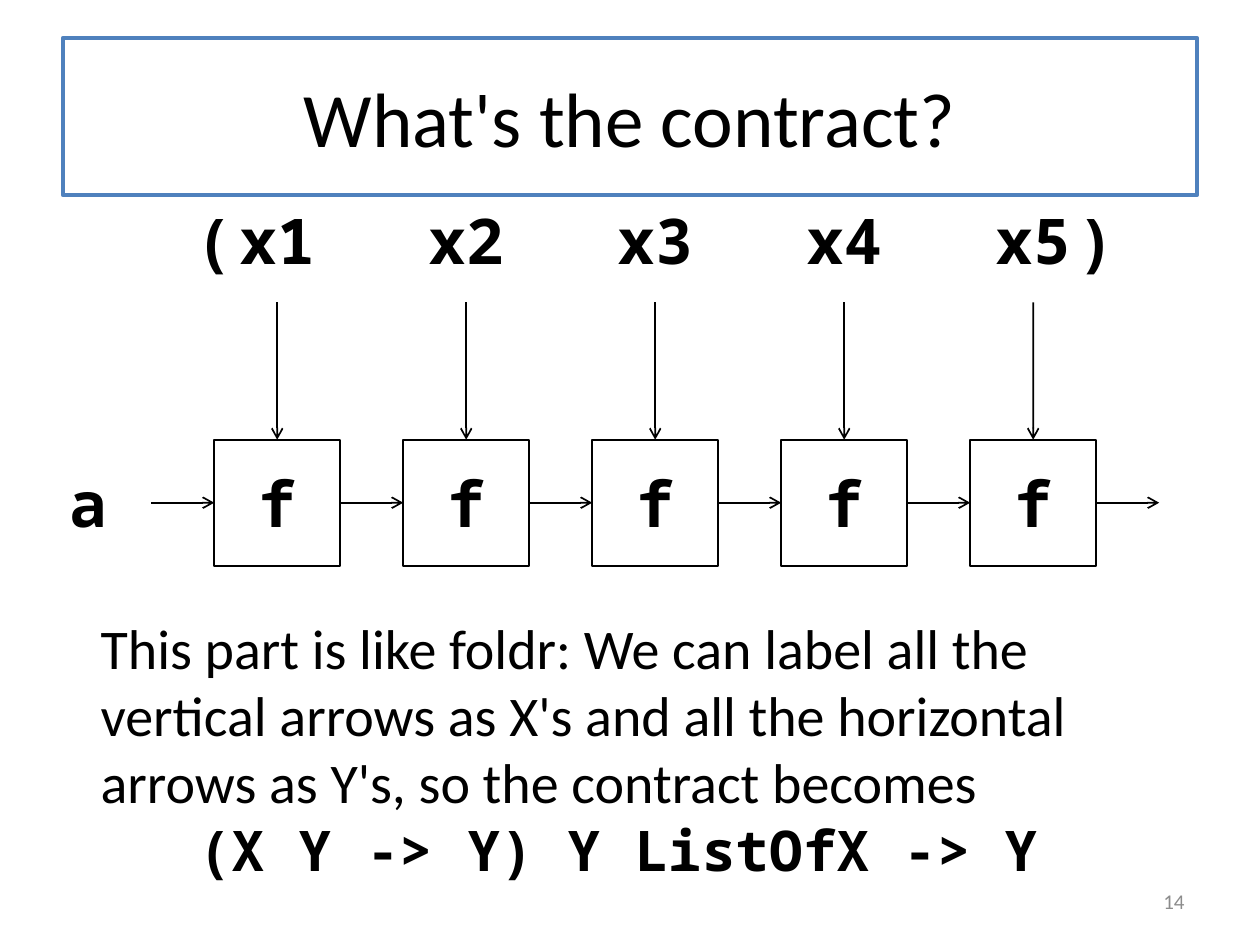
import lxml.etree
import pptx
import pptx.dml.color
import pptx.enum.shapes
import pptx.enum.text
import pptx.oxml.ns
import pptx.util

Inches = pptx.util.Inches
RGB = pptx.dml.color.RGBColor
ALIGN = pptx.enum.text.PP_ALIGN
ANCHOR = pptx.enum.text.MSO_ANCHOR
KIND = pptx.enum.shapes.MSO_SHAPE
LINE = pptx.enum.shapes.MSO_CONNECTOR.STRAIGHT

BLACK = RGB(0x00, 0x00, 0x00)
WHITE = RGB(0xFF, 0xFF, 0xFF)
BLUE = RGB(0x4F, 0x81, 0xBD)
GRAY = RGB(0x8C, 0x8C, 0x8C)

HEAD = {"name": "Calibri", "size": pptx.util.Pt(44)}
BODY = {"name": "Calibri", "size": pptx.util.Pt(32)}
CODE = {"name": "Noto Sans Mono", "size": pptx.util.Pt(36), "bold": True}
RULE = {**CODE, "size": pptx.util.Pt(32)}
FOOT = {"name": "Calibri", "size": pptx.util.Pt(12)}


def write(para, text, form, align=ALIGN.CENTER, color=BLACK):
    para.alignment = align
    run = para.add_run()
    run.text = text
    for key, value in form.items():
        setattr(run.font, key, value)
    run.font.color.rgb = color


def add_text(slide, box, text, form, align=ALIGN.CENTER, color=BLACK,
             anchor=ANCHOR.MIDDLE):
    shape = slide.shapes.add_textbox(*map(Inches, box))
    frame = shape.text_frame
    frame.word_wrap = True
    frame.vertical_anchor = anchor
    write(frame.paragraphs[0], text, form, align, color)
    return frame


def add_box(slide, box, text, form, color, width):
    shape = slide.shapes.add_shape(KIND.RECTANGLE, *map(Inches, box))
    shape.shadow.inherit = False
    shape.fill.solid()
    shape.fill.fore_color.rgb = WHITE
    shape.line.color.rgb = color
    shape.line.width = pptx.util.Pt(width)
    shape.text_frame.vertical_anchor = ANCHOR.MIDDLE
    write(shape.text_frame.paragraphs[0], text, form)
    return shape


def add_arrow(slide, start, end, source=None, target=None):
    """Draw an arrow; source and target are (shape, side) pairs to join."""
    arrow = slide.shapes.add_connector(LINE, *map(Inches, start + end))
    arrow.line.color.rgb = BLACK
    arrow.line.width = pptx.util.Pt(1)
    qn = pptx.oxml.ns.qn
    lxml.etree.SubElement(arrow.line._get_or_add_ln(), qn("a:tailEnd"), type="arrow")
    lxml.etree.SubElement(arrow._element.spPr, qn("a:effectLst"))
    if source:
        arrow.begin_connect(*source)
    if target:
        arrow.end_connect(*target)


def add_fold(slide, left, top, count=5, side=1, step=1.5, drop=2.09):
    """Draw the list on top, the row of f boxes below, and the arrows."""
    gap = step - side
    first = left + step
    row = top + drop
    mid = row + side / 2

    # Brackets around the list, and the starting value
    for x, mark in ((first - gap, "("), (first + count * step - 1, ")")):
        add_text(slide, (x, top, side, side), mark, CODE)
    add_text(slide, (left, row, side, side), "a", CODE)

    # Items, each with its box and arrows
    last = None
    for i in range(count):
        x = first + i * step
        add_text(slide, (x, top, side, side), f"x{i + 1}", CODE)
        cell = add_box(slide, (x, row, side, side), "f", CODE, BLACK, 1)
        add_arrow(slide, (x + side / 2, top + side), (x + side / 2, row),
                  target=(cell, 0))
        add_arrow(slide, (x - gap, mid), (x, mid),
                  source=last and (last, 3), target=(cell, 1))
        last = cell

    # Result
    end = first + count * step
    add_arrow(slide, (end - gap, mid), (end, mid), source=(last, 3))


def add_note(slide, box):
    frame = add_text(
        slide, box,
        "This part is like foldr: We can label all the vertical arrows as X's "
        "and all the horizontal arrows as Y's, so the contract becomes",
        BODY, ALIGN.LEFT, anchor=ANCHOR.TOP)
    write(frame.add_paragraph(), "(X Y -> Y) Y ListOfX -> Y", RULE)


def main():
    deck = pptx.Presentation()
    deck.slide_width = Inches(10)
    deck.slide_height = Inches(7.5)
    slide = deck.slides.add_slide(deck.slide_layouts[6])

    # Title
    add_box(slide, (0.5, 0.3, 9, 1.25), "What's the contract?", HEAD, BLUE, 2.25)
    # Diagram
    add_fold(slide, 0.2, 1.4)
    # Explanation
    add_note(slide, (0.7, 4.82, 8.42, 2.26))
    # Page number
    add_text(slide, (7.17, 6.95, 2.33, 0.4), "14", FOOT, ALIGN.RIGHT, GRAY)

    deck.save("out.pptx")


if __name__ == "__main__":
    main()
